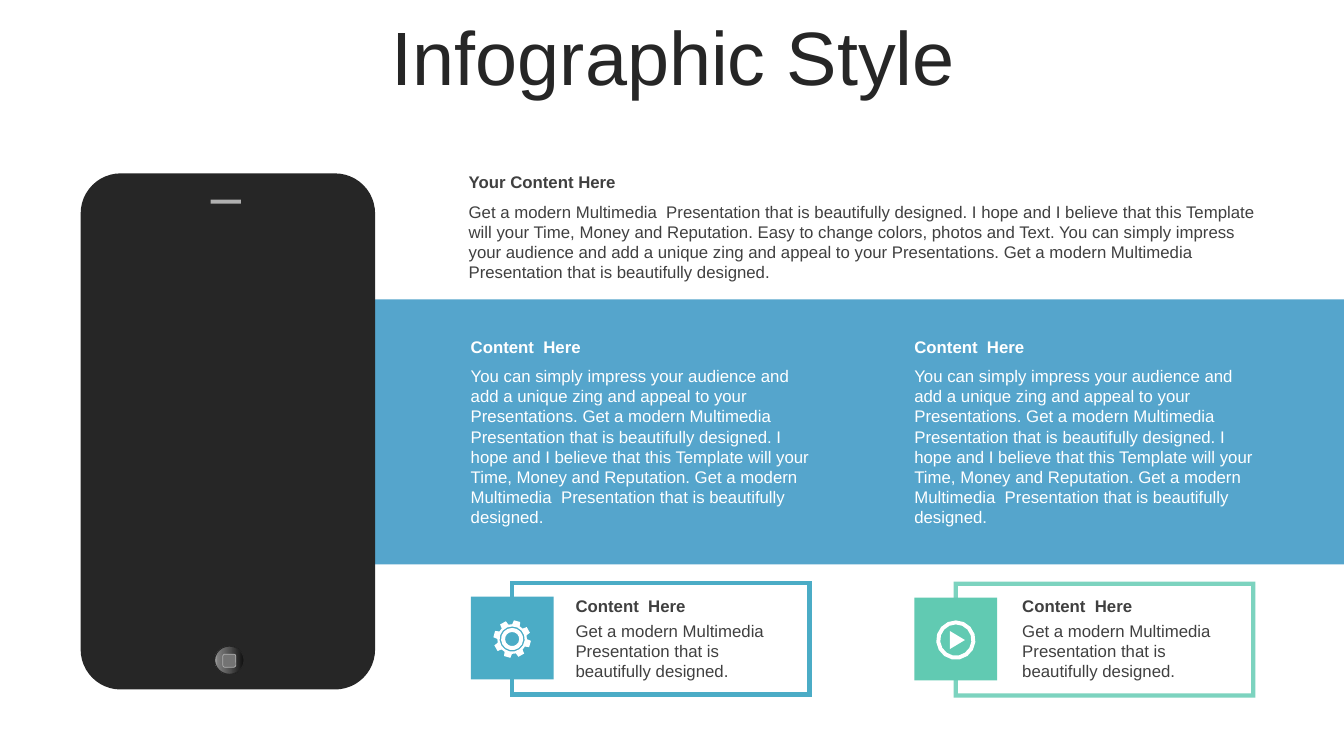
from copy import deepcopy
from math import cos, radians, sin

from lxml import etree
from pptx import Presentation
from pptx.dml.color import RGBColor
from pptx.enum.shapes import MSO_SHAPE as SHAPE
from pptx.enum.text import MSO_ANCHOR as ANCHOR, MSO_AUTO_SIZE as AUTO_SIZE, PP_ALIGN as ALIGN
from pptx.oxml.ns import qn
from pptx.util import Inches, Pt

INK = RGBColor(0x26, 0x26, 0x26)
TEXT = RGBColor(0x40, 0x40, 0x40)
WHITE = RGBColor(0xFF, 0xFF, 0xFF)
BAND_BLUE = RGBColor(0x0E, 0x7F, 0xB7)
SILVER = RGBColor(0xB0, 0xB0, 0xB0)
BUTTON_GREY = RGBColor(0x73, 0x73, 0x73)
TEAL = RGBColor(0x4B, 0xAC, 0xC6)
GREEN = RGBColor(0x61, 0xCA, 0xB2)
GREEN_FRAME = RGBColor(0x45, 0xC1, 0xA4)
BUTTON_STOPS = [
    (0, RGBColor(0x0F, 0x0F, 0x0F)),
    (0.56, RGBColor(0x59, 0x59, 0x59)),
    (0.91, RGBColor(0x80, 0x80, 0x80)),
    (1, RGBColor(0xBF, 0xBF, 0xBF)),
]

INTRO = (
    "Get a modern Multimedia  Presentation that is beautifully designed. I hope and I believe "
    "that this Template will your Time, Money and Reputation. Easy to change colors, photos and "
    "Text. You can simply impress your audience and add a unique zing and appeal to your "
    "Presentations. Get a modern Multimedia  Presentation that is beautifully designed."
)
COLUMN = (
    "You can simply impress your audience and add a unique zing and appeal to your Presentations. "
    "Get a modern Multimedia  Presentation that is beautifully designed. I hope and I believe that "
    "this Template will your Time, Money and Reputation. Get a modern Multimedia  Presentation "
    "that is beautifully designed."
)
CARD = "Get a modern Multimedia  Presentation that is beautifully designed."


def format_text(frame, text, **font_values):
    frame.text = text
    para = frame.paragraphs[0]
    for name, value in {"name": "Arial", "size": Pt(12), **font_values}.items():
        setattr(para.font, name, value)
    return para


def set_opacity(parent, percent):
    """Make the solid colour inside the given XML element partly transparent."""
    color = parent.find(".//" + qn("a:srgbClr"))
    etree.SubElement(color, qn("a:alpha"), val=str(percent * 1000))


def add_box(slide, kind, box, fill=None, line=None, line_width=0):
    shape = slide.shapes.add_shape(kind, *map(Inches, box))
    shape.shadow.inherit = False
    if fill is None:
        shape.fill.background()
    else:
        shape.fill.solid()
        shape.fill.fore_color.rgb = fill
    if line is None:
        shape.line.fill.background()
    else:
        shape.line.color.rgb = line
        shape.line.width = Pt(line_width)
    return shape


def add_text(slide, box, text, color, bold=False, anchor=ANCHOR.TOP):
    frame = slide.shapes.add_textbox(*map(Inches, box)).text_frame
    values = {"word_wrap": True, "auto_size": AUTO_SIZE.SHAPE_TO_FIT_TEXT, "vertical_anchor": anchor}
    for name, value in values.items():
        setattr(frame, name, value)
    format_text(frame, text, bold=bold).font.color.rgb = color


def add_text_block(slide, box, heading, body, color, body_offset):
    """Place a bold heading and, body_offset below its top, a paragraph."""
    left, top, width, height = box
    add_text(slide, (left, top, width, 0.3), heading, color, True, ANCHOR.MIDDLE)
    add_text(slide, (left, top + body_offset, width, height - body_offset), body, color)


def polar(center, radius, degrees):
    """Point at an angle measured clockwise from the top."""
    angle = radians(degrees)
    return Inches(center[0] + radius * sin(angle)), Inches(center[1] - radius * cos(angle))


def circle(center, radius):
    return [polar(center, radius, degrees) for degrees in range(0, 360, 24)]


def add_outline(slide, contours):
    first, *holes = contours
    builder = slide.shapes.build_freeform(*first[0])
    builder.add_line_segments(first[1:], close=True)
    for hole in holes:
        builder.move_to(*hole[0])
        builder.add_line_segments(hole[1:], close=True)
    icon = builder.convert_to_shape()
    icon.shadow.inherit = False
    icon.fill.solid()
    icon.fill.fore_color.rgb = WHITE
    icon.line.fill.background()


def add_gear(slide, center):
    tooth = [(0.147, -15), (0.187, -10), (0.187, 10), (0.147, 15)]
    rim = [polar(center, radius, 15.5 + 45 * index + turn)
           for index in range(8) for radius, turn in tooth]
    add_outline(slide, [rim] + [circle(center, radius) for radius in (0.125, 0.11, 0.07)])


def add_play(slide, center):
    x, y = center
    triangle = [(Inches(x + dx), Inches(y + dy))
                for dx, dy in ((-0.06, -0.09), (0.09, 0), (-0.06, 0.09))]
    add_outline(slide, [circle(center, 0.195), circle(center, 0.155), triangle])


def add_title(slide, box, text):
    title = slide.shapes.title
    for name, value in zip(("left", "top", "width", "height"), box):
        setattr(title, name, Inches(value))
    title.text_frame.vertical_anchor = ANCHOR.MIDDLE
    para = format_text(title.text_frame, text, size=Pt(54))
    para.font.color.rgb = INK
    para.alignment = ALIGN.CENTER
    para.line_spacing = 0.9


def add_phone(slide, box):
    left, top, width, height = box
    body = add_box(slide, SHAPE.ROUNDED_RECTANGLE, box, INK)
    body.adjustments[0] = 0.136
    add_box(slide, SHAPE.RECTANGLE, (left + 1.29, top + 0.26, 0.3, 0.04), SILVER)
    button = add_box(slide, SHAPE.OVAL, (left + 1.33, top + 4.69, 0.29, 0.28), line=INK)
    button.fill.gradient()
    button.fill.gradient_angle = 180
    stop_list = button.fill._fill._gradFill.find(qn("a:gsLst"))
    for stop in list(stop_list):
        stop_list.append(deepcopy(stop))
    for stop, (position, color) in zip(button.fill.gradient_stops, BUTTON_STOPS):
        stop.position = position
        stop.color.rgb = color
    add_box(slide, SHAPE.ROUNDED_RECTANGLE, (left + 1.41, top + 4.77, 0.13, 0.13),
            BUTTON_GREY, SILVER, 0.5)


def add_band(slide, box):
    left, top, _, _ = box
    band = add_box(slide, SHAPE.RECTANGLE, box, BAND_BLUE)
    set_opacity(band.fill._xPr.find(qn("a:solidFill")), 70)
    for column in range(2):
        column_box = (left + 0.85 + 4.4 * column, top + 0.32, 3.58, 2.01)
        add_text_block(slide, column_box, "Content  Here", COLUMN, WHITE, 0.29)


def add_card(slide, box, tile_color, frame_color, add_icon, text_left, text_top, opacity=100):
    left, top, width, height = box
    frame = add_box(slide, SHAPE.RECTANGLE, (left + 0.41, top, width - 0.41, height),
                    line=frame_color, line_width=3)
    etree.SubElement(frame.line._ln, qn("a:miter"), lim="800000")
    if opacity < 100:
        set_opacity(frame.line._ln, opacity)
    add_box(slide, SHAPE.RECTANGLE, (left, top + 0.14, 0.82, 0.82), tile_color)
    add_icon(slide, (left + 0.41, top + 0.56))
    add_text_block(slide, (left + text_left, top + text_top, 2.29, 0.96),
                   "Content  Here", CARD, TEXT, 0.25)


def main():
    deck = Presentation()
    deck.slide_width, deck.slide_height = Inches(13.33), Inches(7.5)
    slide = deck.slides.add_slide(deck.slide_layouts[5])
    add_title(slide, (0.35, 0.21, 12.66, 0.79), "Infographic Style")
    add_band(slide, (3.72, 2.97, 9.61, 2.63))
    add_phone(slide, (0.8, 1.72, 2.92, 5.12))
    add_text_block(slide, (4.55, 1.65, 8.1, 1.21), "Your Content Here", INTRO, TEXT, 0.3)
    add_card(slide, (4.67, 5.78, 3.36, 1.11), TEAL, TEAL, add_gear, 0.94, 0.08)
    add_card(slide, (9.07, 5.79, 3.36, 1.11), GREEN, GREEN_FRAME, add_play, 0.97, 0.07, 70)
    deck.save("out.pptx")


if __name__ == "__main__":
    main()
